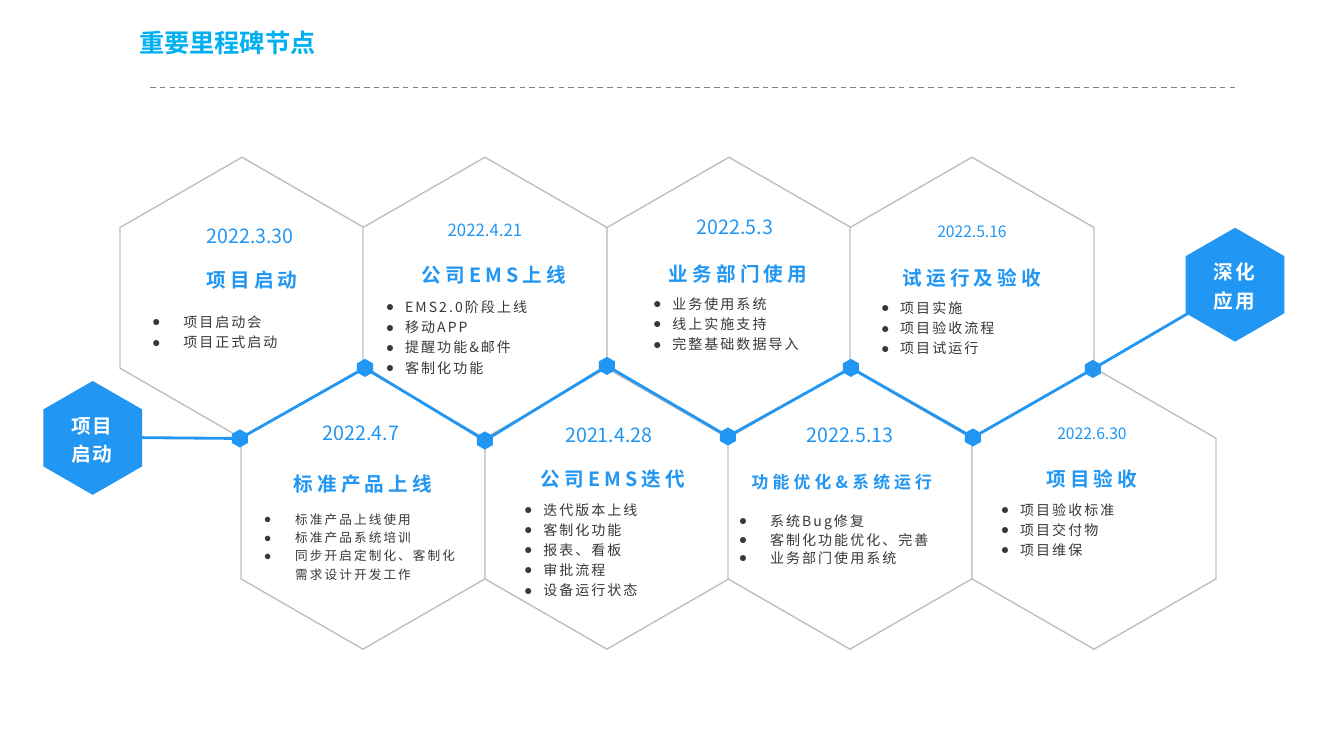
from dataclasses import dataclass
from itertools import pairwise

from lxml import etree
from pptx import Presentation
from pptx import util as u
from pptx.dml.color import RGBColor
from pptx.enum import dml, shapes, text
from pptx.oxml import ns

PX = 9144
FONT = "Noto Sans CJK SC"
CYAN = RGBColor(0x00, 0xB0, 0xF0)
BLUE = RGBColor(0x21, 0x96, 0xF3)
DARK = RGBColor(0x38, 0x38, 0x38)
GRAY = RGBColor(0x80, 0x80, 0x80)
LIGHT = RGBColor(0xBF, 0xBF, 0xBF)
WHITE = RGBColor(0xFF, 0xFF, 0xFF)

TILE_LEFT, TILE_TOP, TILE_WIDTH, TILE_HEIGHT, ROW_STEP = 119, 156, 242, 279, 209
NODES = [(238, 435), (362, 365), (481, 437), (602, 363),
         (722, 433), (844, 365), (965, 434), (1084, 366)]
TRACK_START, TRACK_END = (118, 434), (1262, 262)


@dataclass
class Milestone:
    """Wording of one tile, with text boxes offset from the tile's corner."""
    date: str
    title: str
    items: list
    date_box: tuple
    title_at: tuple
    items_at: tuple
    date_size: float = 14
    title_size: float = 14
    items_size: float = 10
    indent: int = 19
    spacing: float = 1.2
    fill: RGBColor = None


MILESTONES = [
    Milestone("2022.3.30", "项目启动", ["项目启动会", "项目正式启动"],
              (68, 61, 122), (21, 94), (22, 152), indent=31),
    Milestone("2022.4.7", "标准产品上线",
              ["标准产品上线使用", "标准产品系统培训", "同步开启定制化、客制化需求设计开发工作"],
              (68, 48, 102), (11, 88), (13, 140), items_size=9, indent=31),
    Milestone("2022.4.21", "公司EMS上线",
              ["EMS2.0阶段上线", "移动APP", "提醒功能&邮件", "客制化功能"],
              (70, 57, 102), (20, 89), (13, 137), date_size=12),
    Milestone("2021.4.28", "公司EMS迭代",
              ["迭代版本上线", "客制化功能", "报表、看板", "审批流程", "设备运行状态"],
              (66, 50, 114), (17, 83), (29, 129)),
    Milestone("2022.5.3", "业务部门使用",
              ["业务使用系统", "线上实施支持", "完整基础数据导入"],
              (76, 52, 102), (20, 88), (36, 134)),
    Milestone("2022.5.13", "功能优化&系统运行",
              ["系统Bug修复", "客制化功能优化、完善", "业务部门使用系统"],
              (60, 50, 122), (3, 86), (1, 142), title_size=12,
              indent=31, spacing=1.1, fill=WHITE),
    Milestone("2022.5.16", "试运行及验收", ["项目实施", "项目验收流程", "项目试运行"],
              (70, 59, 102), (11, 92), (21, 138), date_size=11.2),
    Milestone("2022.6.30", "项目验收", ["项目验收标准", "项目交付物", "项目维保"],
              (68, 51, 102), (9, 83), (19, 129), date_size=11.2),
]


def place(shape, box):
    """Move and size a shape to a box in px."""
    shape.left, shape.top, shape.width, shape.height = (u.Emu(n * PX) for n in box)


def add_bullet(paragraph, indent):
    """Give a paragraph a round bullet with a hanging indent in px."""
    properties = paragraph._p.get_or_add_pPr()
    properties.set("marL", str(indent * PX))
    properties.set("indent", str(-indent * PX))
    etree.SubElement(properties, ns.qn("a:buFont")).set("typeface", "Arial")
    etree.SubElement(properties, ns.qn("a:buChar")).set("char", "●")


def write(shape, lines, size, color, bold=False, align=text.PP_ALIGN.CENTER,
          anchor=text.MSO_ANCHOR.TOP, insets=(10, 5, 10, 5), line_spacing=1.0,
          tracking=0, indent=0):
    """Fill a shape with formatted paragraphs."""
    frame = shape.text_frame
    frame.word_wrap = True
    frame.vertical_anchor = anchor
    (frame.margin_left, frame.margin_top,
     frame.margin_right, frame.margin_bottom) = (u.Emu(n * PX) for n in insets)
    frame.text = "\n".join(lines)
    for paragraph in frame.paragraphs:
        paragraph.alignment = align
        paragraph.line_spacing = line_spacing
        if indent:
            add_bullet(paragraph, indent)
        run = paragraph.runs[0]
        run.font.name = FONT
        run.font.size = u.Pt(size)
        run.font.bold = bold
        run.font.color.rgb = color
        properties = run._r.get_or_add_rPr()
        properties.set("spc", str(int(tracking * 100)))
        east_asian = etree.Element(ns.qn("a:ea"))
        east_asian.set("typeface", FONT)
        properties.find(ns.qn("a:latin")).addnext(east_asian)


def add_text(slide, box, lines, size, color, fill=None, **style):
    """Add a text box, filled if a colour is given."""
    shape = slide.shapes.add_textbox(0, 0, 0, 0)
    place(shape, box)
    if fill is not None:
        shape.fill.solid()
        shape.fill.fore_color.rgb = fill
    write(shape, lines, size, color, **style)


def add_hexagon(slide, box, fill, line=None):
    """Draw an upright hexagon in a box."""
    left, top, width, height = (n * PX for n in box)
    corners = [(left + width * x, top + height * y) for x, y in
               [(0.5, 0), (1, 0.25), (1, 0.75), (0.5, 1), (0, 0.75), (0, 0.25)]]
    builder = slide.shapes.build_freeform(*corners[0])
    builder.add_line_segments(corners[1:], close=True)
    shape = builder.convert_to_shape()
    shape.shadow.inherit = False
    shape.fill.solid()
    shape.fill.fore_color.rgb = fill
    if line is None:
        shape.line.fill.background()
    else:
        shape.line.color.rgb = line
        shape.line.width = u.Pt(1)


def add_line(slide, start, end, color, width, dash=None):
    """Draw a straight line between two points."""
    line = slide.shapes.add_connector(
        shapes.MSO_CONNECTOR.STRAIGHT, *(u.Emu(n * PX) for n in (*start, *end)))
    line.line.color.rgb = color
    line.line.width = u.Pt(width)
    if dash is not None:
        line.line.dash_style = dash
    etree.SubElement(line._element.spPr, ns.qn("a:effectLst"))


def add_header(slide, box):
    """Set the title in its box with a dashed rule below."""
    left, top, width, height = box
    place(slide.shapes.title, box)
    write(slide.shapes.title, ["重要里程碑节点"], 18, CYAN, bold=True,
          align=text.PP_ALIGN.LEFT, anchor=text.MSO_ANCHOR.MIDDLE, line_spacing=0.9)
    rule = top + height + 10
    add_line(slide, (left + width + 97, rule), (left + 20, rule), GRAY, 1,
             dml.MSO_LINE.DASH)


def add_milestone(slide, left, top, milestone):
    """Write the bullets, title and date of one tile."""
    def offset(x, y):
        return left + x, top + y

    x, y, width = milestone.date_box
    add_text(slide, (*offset(*milestone.items_at), 220, 64), milestone.items,
             milestone.items_size, DARK, milestone.fill, align=text.PP_ALIGN.LEFT,
             insets=(10, 0, 10, 5), line_spacing=milestone.spacing, tracking=1.5,
             indent=milestone.indent)
    add_text(slide, (*offset(*milestone.title_at), 220, 45), [milestone.title],
             milestone.title_size, BLUE, milestone.fill, bold=True,
             anchor=text.MSO_ANCHOR.MIDDLE, insets=(10, 5, 10, 0),
             line_spacing=1.2, tracking=3)
    add_text(slide, (*offset(x, y), width, 34), [milestone.date],
             milestone.date_size, BLUE, milestone.fill)


def add_track(slide):
    """Draw the zigzag line and its nodes."""
    for start, end in pairwise([TRACK_START, *NODES, TRACK_END]):
        add_line(slide, start, end, BLUE, 2)
    for x, y in NODES:
        add_hexagon(slide, (x - 8, y - 9, 16, 18), BLUE)


def add_badge(slide, left, top, lines):
    """Draw a solid end badge with two lines of text."""
    add_hexagon(slide, (left, top, 98, 113), BLUE)
    add_text(slide, (left + 1, top + 30, 94, 51), lines, 14, WHITE, bold=True,
             anchor=text.MSO_ANCHOR.MIDDLE, line_spacing=1.2, tracking=1.5)


def main():
    """Build the milestone slide."""
    presentation = Presentation()
    presentation.slide_width = u.Emu(1333 * PX)
    presentation.slide_height = u.Emu(750 * PX)
    slide = presentation.slides.add_slide(presentation.slide_layouts[5])
    add_header(slide, (128, 10, 1000, 67))
    corners = [(TILE_LEFT + n * 483 // 4, TILE_TOP + n % 2 * ROW_STEP)
               for n in range(len(MILESTONES))]
    for corner in corners:
        add_hexagon(slide, (*corner, TILE_WIDTH, TILE_HEIGHT), WHITE, LIGHT)
    add_track(slide)
    for corner, milestone in zip(corners, MILESTONES):
        add_milestone(slide, *corner, milestone)
    add_badge(slide, 43, 378, ["项目", "启动"])
    add_badge(slide, 1176, 226, ["深化", "应用"])
    presentation.save("out.pptx")


if __name__ == "__main__":
    main()
